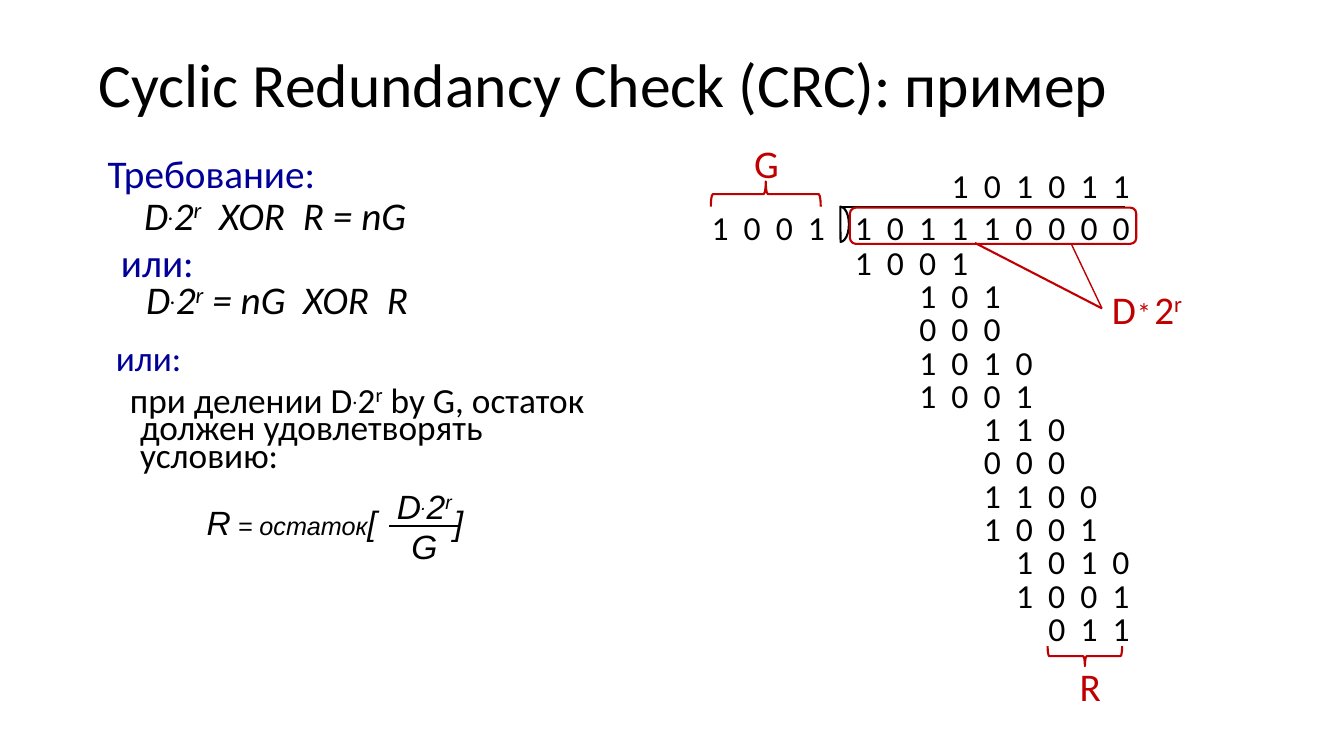
from pptx import Presentation
from pptx.dml.color import RGBColor
from pptx.enum.shapes import MSO_CONNECTOR as Connector, MSO_SHAPE as Shape
from pptx.enum.text import MSO_ANCHOR as Anchor, MSO_AUTO_SIZE as AutoSize, PP_ALIGN as Align
from pptx.oxml.ns import qn
from pptx.util import Inches, Pt
from lxml.etree import SubElement

COLORS = {"text": "000000", "heading": "000099", "accent": "C00000"}
CELL = 0.1                      # page grid: one column or row, in inches
BIT_COLUMN, BIT_ROW = 3.2, 3.3  # pitch of the long division, in grid cells
BIT_LEFT, BIT_TOP = 83.8, 23.5  # its first subtraction row


def cells(count):
    return Inches(count * CELL)


def color(name):
    return RGBColor.from_string(COLORS[name])


def apply(target, values):
    for name, value in values.items():
        setattr(target, name, value)


class Page:
    def __init__(self, deck):
        self.slide = deck.slides.add_slide(deck.slide_layouts[5])
        self.shapes = self.slide.shapes
        self.font = "Calibri"

    def span(self, para, text, size=24, ink="text", italic=False, font=None,
             raised=0, spacing=0):
        span = para.add_run()
        span.text = text
        apply(span.font, {"size": Pt(size), "name": font or self.font, "italic": italic})
        span.font.color.rgb = color(ink)
        properties = span.font._element
        if raised:
            properties.set("baseline", str(raised * 1000))
        if spacing:
            properties.set("spc", str(round(spacing * 100)))

    def title(self, text, area):
        box = self.shapes.title
        apply(box, dict(zip(("left", "top", "width", "height"), map(cells, area))))
        apply(box.text_frame, {"vertical_anchor": Anchor.MIDDLE, "word_wrap": True,
                               "auto_size": AutoSize.NONE})
        para = box.text_frame.paragraphs[0]
        apply(para, {"alignment": Align.LEFT, "line_spacing": 0.9})
        self.span(para, text, size=44)

    def text(self, area, paragraphs, wrap=True, grow=False):
        """Each paragraph is (format, indent, spans); each span is (text, style)."""
        box = self.shapes.add_textbox(*map(cells, area))
        frame = box.text_frame
        apply(frame, {"word_wrap": wrap,
                      "auto_size": AutoSize.SHAPE_TO_FIT_TEXT if grow else AutoSize.NONE})
        for number, (values, indent, spans) in enumerate(paragraphs):
            para = frame.add_paragraph() if number else frame.paragraphs[0]
            apply(para, values)
            if indent:
                properties = para._p.get_or_add_pPr()
                for name, length in zip(("marL", "indent"), indent):
                    properties.set(name, str(cells(length)))
            for words, style in spans:
                self.span(para, words, **style)

    def label(self, area, *spans):
        self.text(area, [({}, None, spans)], wrap=False, grow=True)

    def bits(self, column, row, digits):
        """A row of digits, placed by column and row of the long division."""
        area = (BIT_LEFT + column * BIT_COLUMN, BIT_TOP + row * BIT_ROW,
                0.5 + BIT_COLUMN * len(digits), 5)
        self.label(area, (" ".join(digits), {"spacing": 2.7 if len(digits) > 1 else 0}))

    def outline(self, kind, area, ink="accent", turn=0, adjust=()):
        shape = self.shapes.add_shape(kind, *map(cells, area))
        shape.shadow.inherit = False
        shape.fill.background()
        shape.line.color.rgb = color(ink)
        shape.line.width = Pt(1.5)
        shape.rotation = turn
        for number, value in enumerate(adjust):
            shape.adjustments[number] = value

    def line(self, start, end, ink="accent", weight=1.5):
        line = self.shapes.add_connector(Connector.STRAIGHT, *map(cells, start + end))
        line.line.color.rgb = color(ink)
        line.line.width = Pt(weight)
        SubElement(line._element.spPr, qn("a:effectLst"))


def power(**style):
    """Spans for D times 2 to the r."""
    return [("D", style), (".", {**style, "raised": 26}), ("2", style),
            ("r", {**style, "raised": 30})]


def requirements(page):
    formula = {"size": 28, "italic": True}
    gap = (" ", {**formula, "spacing": 6.3})
    heading = {"size": 28, "ink": "heading"}

    def spaced(line, before):
        return {"line_spacing": line, "space_before": Pt(before)}

    first = power(**formula) + [gap, ("XOR", formula), gap, ("R = nG", formula)]
    second = power(**formula) + [(" = nG", formula), gap, ("XOR", formula), gap, ("R", formula)]
    for area, line, hanging, words, spans in (
            ((8.2, 15.4, 54.5, 11.4), 0.75, -2.4, "Требование:", first),
            ((8.4, 24.6, 54.5, 9.6), 0.65, -1.3, "или:", second)):
        page.text(area, [(spaced(line, 10), (3.9, hanging), [(words, heading)]),
                         ({**spaced(line, 5), "level": 1}, (7.6, -2.5), spans)])

    plain = {"size": 25.2}
    division = [("при делении D", plain)] + power(**plain)[1:]
    division.append((" by G, остаток должен удовлетворять условию:", plain))
    page.text((7.9, 34.2, 54.5, 15.1), [
        (spaced(0.65, 10), (3.9, -1.3), [("или:", {**plain, "ink": "heading"})]),
        (spaced(0.65, 10), (5, -1), division)])

    # Remainder formula with its fraction
    big = {"font": "Arial", "italic": True}
    small = {**big, "size": 18}
    centred = {"alignment": Align.CENTER}
    page.text((34.8, 47.7, 14.6, 9), [(centred, None, power(**big)),
                                      (centred, None, [("G", big)])], grow=True)
    page.line((38.6, 52.2), (45.5, 52.2), ink="text")
    page.text((19.5, 49.3, 30.5, 5), [({}, None, [
        ("R", big), (" = остаток", small), ("[", big),
        (" ", {**small, "spacing": 50}), ("]", big)])], grow=True)


def long_division(page):
    # Subtraction steps: (starting column, digits), one row each
    steps = [(0, "1001"), (2, "101"), (2, "000"), (2, "1010"), (2, "1001"), (4, "110"),
             (4, "000"), (4, "1100"), (4, "1001"), (5, "1010"), (5, "1001"), (6, "011")]
    for row, (column, digits) in enumerate(steps):
        page.bits(column, row, digits)

    # Quotient, divisor and dividend
    for column, digits in ((3, "1"), (4, "0"), (5, "1"), (6, "011")):
        page.bits(column, -2.3, digits)
    for column, digits in ((-4.44, "1001"), (0, "101110"), (6, "000")):
        page.bits(column, -1.06, digits)
    page.line((83.5, 20.5), (111.6, 20.5), ink="text")
    page.outline(Shape.PIE, (81.6, 21.4, 3.5, 1.7), ink="text", turn=270,
                 adjust=(0, 107.54))
    page.outline(Shape.ROUNDED_RECTANGLE, (84.3, 20.6, 28.4, 3.6))

    # Braces and pointers
    page.outline(Shape.RIGHT_BRACE, (74.7, 13.8, 2.5, 10.9), turn=270)
    page.outline(Shape.RIGHT_BRACE, (106.6, 61.4, 2, 7.4), turn=90)
    page.line((96.7, 24.1), (109.3, 30.6))
    page.line((106.3, 24.3), (109.3, 30.6), weight=1)

    # Red labels
    red = {"size": 28, "ink": "accent"}
    page.label((73.8, 13.3, 4.5, 5.7), ("G", red))
    page.label((106.1, 65.2, 4.2, 5.7), ("R", red))
    page.label((109.3, 27.8, 4.4, 5.7), ("D", red))
    page.label((111.8, 28.8, 3.4, 4.4), ("*", {**red, "size": 20}))
    page.label((113.5, 27.8, 4.9, 5.7), ("2", red), ("r", {**red, "raised": 30}))


def main():
    deck = Presentation()
    apply(deck, {"slide_width": Inches(13.33), "slide_height": Inches(7.5)})
    page = Page(deck)
    page.title("Cyclic Redundancy Check (CRC): пример", (8.8, 3.8, 115, 9.8))
    requirements(page)
    long_division(page)
    deck.save("out.pptx")


if __name__ == "__main__":
    main()
